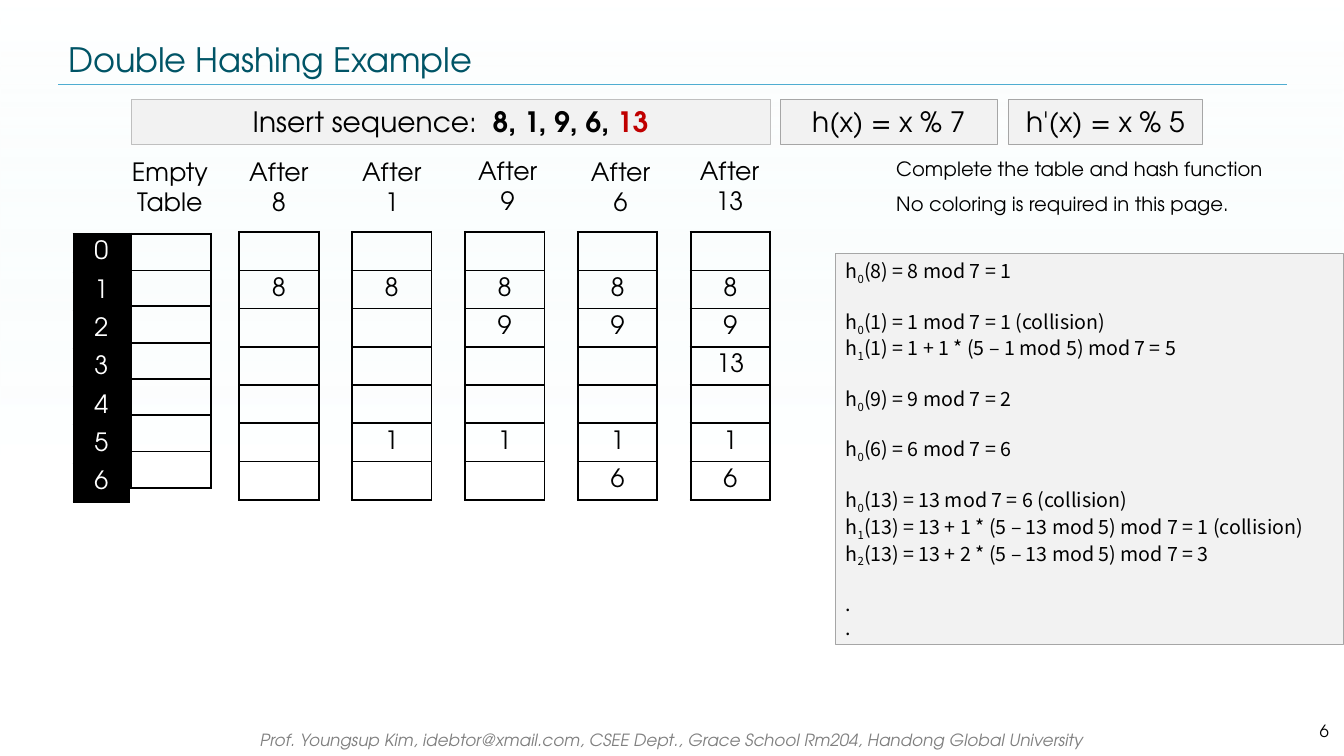
from lxml.etree import SubElement
from pptx import Presentation
from pptx.dml.color import RGBColor
from pptx.enum.shapes import MSO_CONNECTOR, MSO_SHAPE
from pptx.enum.text import MSO_ANCHOR, PP_ALIGN
from pptx.oxml.ns import qn
from pptx.util import Inches, Pt

BLACK = RGBColor(0x00, 0x00, 0x00)
WHITE = RGBColor(0xFF, 0xFF, 0xFF)
TEAL = RGBColor(0x00, 0x54, 0x66)
SKY = RGBColor(0x4F, 0xAD, 0xD1)
MIST = RGBColor(0xD9, 0xF3, 0xF4)
PANEL = RGBColor(0xF2, 0xF2, 0xF2)
LIGHT_EDGE = RGBColor(0xBF, 0xBF, 0xBF)
EDGE = RGBColor(0xA6, 0xA6, 0xA6)
GRAY = RGBColor(0x80, 0x80, 0x80)
RED = RGBColor(0xC0, 0x00, 0x00)

SLOTS = 7
THIN_AFTER = (0, 5)
COLUMN_WIDTH = 0.79
# Header left, header top, number inserted, slot it lands in
INSERTIONS = [
    (2.37, 1.5, "8", 1),
    (3.49, 1.5, "1", 5),
    (4.64, 1.49, "9", 2),
    (5.76, 1.5, "6", 6),
    (6.84, 1.49, "13", 3),
]
# Each group is set apart from the one above it: (subscript, rest of the line)
PROBES = [
    [("0", "(8) = 8 mod 7 = 1")],
    [("0", "(1) = 1 mod 7 = 1 (collision)"),
     ("1", "(1) = 1 + 1 * (5 – 1 mod 5) mod 7 = 5")],
    [("0", "(9) = 9 mod 7 = 2")],
    [("0", "(6) = 6 mod 7 = 6")],
    [("0", "(13) = 13 mod 7 = 6 (collision)"),
     ("1", "(13) = 13 + 1 * (5 – 13 mod 5) mod 7 = 1 (collision)"),
     ("2", "(13) = 13 + 2 * (5 – 13 mod 5) mod 7 = 3")],
    [(None, "."), (None, ".")],
]


class HashingSlide:
    font = "TeX Gyre Adventor"
    code_font = "Noto Sans CJK KR"

    def __init__(self, presentation):
        self.slide = presentation.slides.add_slide(presentation.slide_layouts[5])
        self.shapes = self.slide.shapes

    def run(self, paragraph, text, size, color=BLACK, font=None, bold=False, italic=False):
        run = paragraph.add_run()
        run.text = text
        run.font.name = font or self.font
        run.font.size = Pt(size)
        run.font.color.rgb = color
        run.font.bold = bold
        run.font.italic = italic
        return run

    def background(self, width, height):
        shape = self.shapes.add_shape(MSO_SHAPE.RECTANGLE, 0, 0, width, height)
        shape.shadow.inherit = False
        shape.line.fill.background()
        shape.fill.gradient()
        shape.fill.gradient_angle = 270
        stops = zip(shape.fill.gradient_stops, (0, 0.61), (MIST, WHITE))
        for stop, position, color in stops:
            stop.position = position
            stop.color.rgb = color
        colors = shape.element.spPr.iter(qn("a:srgbClr"))
        for color, alpha in zip(colors, ("0", "40000")):
            SubElement(color, qn("a:alpha")).set("val", alpha)
        self.shapes.title.element.addprevious(shape.element)

    def title(self, text):
        title = self.shapes.title
        title.left, title.top = Inches(0.58), Inches(0.34)
        title.width, title.height = Inches(12.18), Inches(0.5)
        title.text_frame.vertical_anchor = MSO_ANCHOR.MIDDLE
        paragraph = title.text_frame.paragraphs[0]
        paragraph.alignment = PP_ALIGN.LEFT
        run = self.run(paragraph, text, 24, TEAL)
        run._r.get_or_add_rPr().set("spc", "-10")

    def rule(self, left, top, right):
        line = self.shapes.add_connector(
            MSO_CONNECTOR.STRAIGHT, Inches(left), Inches(top), Inches(right), Inches(top))
        line.line.color.rgb = SKY
        line.line.width = Pt(0.25)
        SubElement(line.element.spPr, qn("a:effectLst"))

    def text(self, left, top, width, height, lines, size, align=PP_ALIGN.LEFT,
             wrap=False, **style):
        box = self.shapes.add_textbox(
            Inches(left), Inches(top), Inches(width), Inches(height))
        frame = box.text_frame
        frame.word_wrap = wrap
        for number, line in enumerate(lines):
            paragraph = frame.add_paragraph() if number else frame.paragraphs[0]
            paragraph.alignment = align
            self.run(paragraph, line, size, **style)

    def panel(self, left, top, width, height, edge=EDGE):
        """Add a grey box and return its empty text frame."""
        shape = self.shapes.add_shape(
            MSO_SHAPE.RECTANGLE, Inches(left), Inches(top), Inches(width), Inches(height))
        shape.shadow.inherit = False
        shape.fill.solid()
        shape.fill.fore_color.rgb = PANEL
        shape.line.color.rgb = edge
        shape.line.width = Pt(0.75)
        shape.text_frame.word_wrap = True
        shape.text_frame.vertical_anchor = MSO_ANCHOR.TOP
        shape.text_frame.paragraphs[0].alignment = PP_ALIGN.CENTER
        return shape.text_frame

    def formula(self, left, width, text):
        self.run(self.panel(left, 0.99, width, 0.44).paragraphs[0], text, 20)

    def probes(self, frame, groups):
        paragraph = frame.paragraphs[0]
        for group_number, group in enumerate(groups):
            for line_number, (index, rest) in enumerate(group):
                if group_number or line_number:
                    paragraph = frame.add_paragraph()
                paragraph.alignment = PP_ALIGN.LEFT
                if group_number and not line_number:
                    paragraph.space_before = Pt(17)
                if index:
                    self.run(paragraph, "h", 14, font=self.code_font)
                    subscript = self.run(paragraph, index, 14, font=self.code_font)
                    subscript._r.get_or_add_rPr().set("baseline", "-25000")
                self.run(paragraph, rest, 14, font=self.code_font)

    def borders(self, cell, slot):
        top = 1 if slot - 1 in THIN_AFTER else 1.5
        bottom = 1 if slot in THIN_AFTER else 1.5
        properties = cell._tc.get_or_add_tcPr()
        for side, width in (("L", 1.5), ("R", 1.5), ("T", top), ("B", bottom)):
            line = SubElement(properties, qn(f"a:ln{side}"), w=str(Pt(width)))
            fill = SubElement(line, qn("a:solidFill"))
            SubElement(fill, qn("a:srgbClr"), val=str(BLACK))

    def slots(self, left, top, width, values, row_height=0.38, fill=None, color=BLACK):
        """Draw one hash table; values maps a slot to its text."""
        table = self.shapes.add_table(
            SLOTS, 1, Inches(left), Inches(top), Inches(width),
            Inches(SLOTS * row_height)).table
        table.first_row = table.horz_banding = False
        for slot in range(SLOTS):
            table.rows[slot].height = Inches(row_height)
            cell = table.cell(slot, 0)
            cell.margin_left = cell.margin_right = 0
            cell.margin_top = cell.margin_bottom = 0
            cell.vertical_anchor = MSO_ANCHOR.MIDDLE
            self.borders(cell, slot)
            if fill is None:
                cell.fill.background()
            else:
                cell.fill.solid()
                cell.fill.fore_color.rgb = fill
            if slot in values:
                paragraph = cell.text_frame.paragraphs[0]
                paragraph.alignment = PP_ALIGN.CENTER
                self.run(paragraph, values[slot], 18, color)


def main():
    presentation = Presentation()
    presentation.slide_width = Inches(13.33)
    presentation.slide_height = Inches(7.5)
    page = HashingSlide(presentation)
    page.background(presentation.slide_width, presentation.slide_height)
    page.title("Double Hashing Example")
    page.rule(0.58, 0.84, 12.76)
    page.text(1.98, 7.19, 9.37, 0.3,
              ["Prof. Youngsup Kim, idebtor@xmail.com, CSEE Dept., "
               "Grace School Rm204, Handong Global University"],
              12, PP_ALIGN.CENTER, wrap=True, color=GRAY, italic=True)
    page.text(12.11, 7.1, 1.17, 0.3, ["6"], 12, PP_ALIGN.RIGHT, wrap=True)

    sequence = page.panel(1.3, 0.99, 6.34, 0.44, LIGHT_EDGE).paragraphs[0]
    page.run(sequence, "Insert sequence:  ", 20)
    page.run(sequence, "8, 1, 9, 6, ", 20, bold=True)
    page.run(sequence, "13", 20, RED, bold=True)
    page.formula(7.74, 2.15, "h(x) = x % 7")
    page.formula(10, 1.93, "h'(x) = x % 5")

    page.text(1.2, 1.5, 0.97, 0.71, ["Empty", "Table"], 18, PP_ALIGN.CENTER)
    page.slots(1.3, 2.32, COLUMN_WIDTH, {}, row_height=0.36)
    filled = {}
    for step, (left, top, number, slot) in enumerate(INSERTIONS):
        filled[slot] = number
        page.text(left, top, COLUMN_WIDTH, 0.71, ["After", number], 18, PP_ALIGN.CENTER)
        page.slots(2.37 + 1.12 * step, 2.3, COLUMN_WIDTH, filled)
    indexes = {slot: str(slot) for slot in range(SLOTS)}
    page.slots(0.73, 2.32, 0.55, indexes, fill=BLACK, color=WHITE)

    page.probes(page.panel(8.29, 2.52, 5.04, 3.87), PROBES)
    page.text(8.79, 1.51, 3.87, 0.34, ["Complete the table and hash function"], 14)
    page.text(8.79, 1.85, 3.53, 0.34, ["No coloring is required in this page."], 14)
    presentation.save("out.pptx")


if __name__ == "__main__":
    main()
